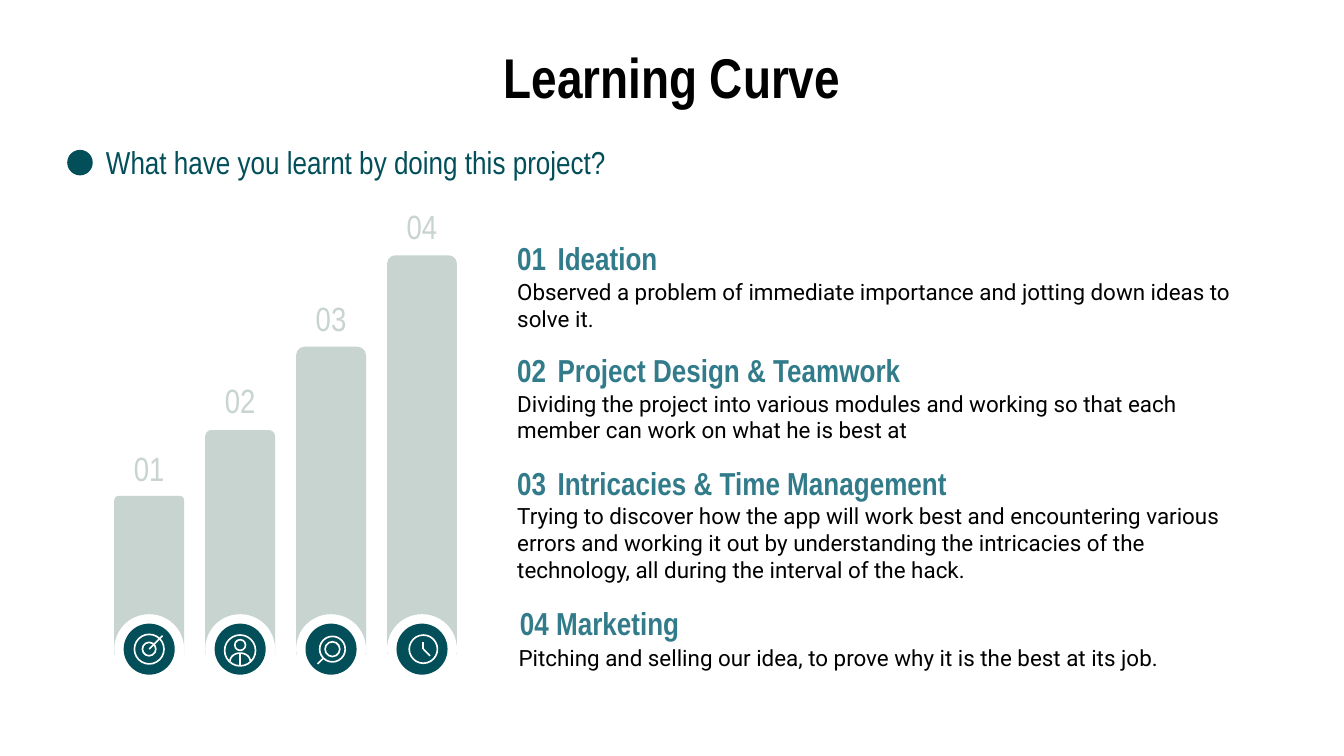
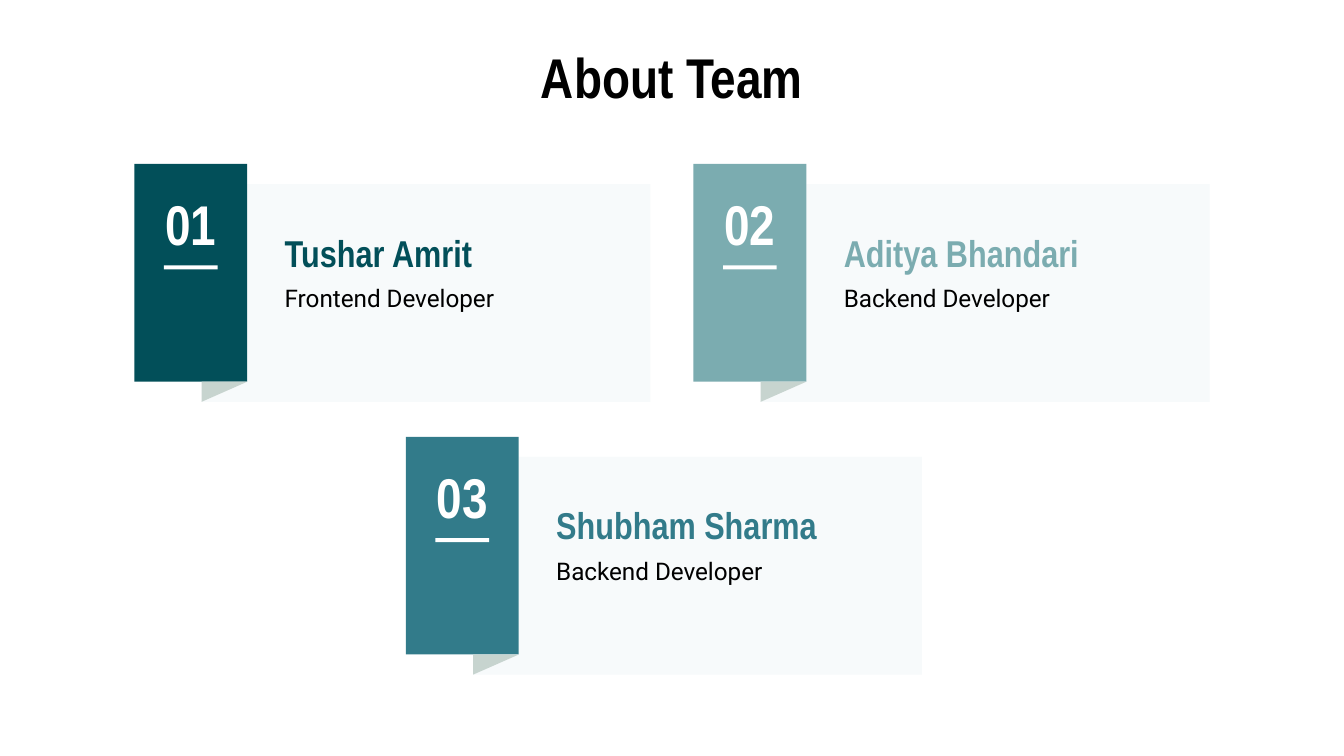
from math import cos, pi, sin

from lxml.etree import SubElement
from pptx import Presentation
from pptx.dml.color import RGBColor
from pptx.enum.shapes import MSO_CONNECTOR as Link, MSO_SHAPE as Kind
from pptx.enum.text import MSO_ANCHOR as Anchor, MSO_AUTO_SIZE as Fit, PP_ALIGN as Align
from pptx.oxml.ns import qn
from pptx.util import Inches, Pt

BLACK = RGBColor(0x00, 0x00, 0x00)
WHITE = RGBColor(0xFF, 0xFF, 0xFF)
DARK = RGBColor(0x02, 0x4F, 0x59)
TEAL = RGBColor(0x32, 0x7B, 0x8A)
SOFT = RGBColor(0x7B, 0xAC, 0xB0)
GREY = RGBColor(0xC7, 0xD4, 0xCF)
PALE = RGBColor(0xF7, 0xFA, 0xFB)
HEAD = "Arial Narrow"
BODY = "Roboto"

QUERY = "What have you learnt by doing this project?"
LESSONS = [
    (1.68, [(3.75, 0.44, "01"), (4.05, 2.19, "Ideation")], 3.75, 1.97,
     "Observed a problem of immediate importance and jotting down ideas to solve it."),
    (2.51, [(3.75, 0.44, "02"), (4.05, 3.51, "Project Design & Teamwork")], 3.75, 2.8,
     "Dividing the project into various modules and working so that each "
     "member can work on what he is best at"),
    (3.35, [(3.75, 0.44, "03"), (4.05, 3.45, "Intricacies & Time Management")], 3.75, 3.64,
     "Trying to discover how the app will work best and encountering various "
     "errors and working it out by understanding the intricacies of the "
     "technology, all during the interval of the hack."),
    (4.39, [(3.77, 2.19, "04 Marketing")], 3.76, 4.69,
     "Pitching and selling our idea, to prove why it is the best at its job."),
]
BARS = [
    ("01", 3.69, 3.23, 0.06),
    ("02", 3.2, 2.73, 0.09),
    ("03", 2.58, 2.12, 0.12),
    ("04", 1.9, 1.43, 0.12),
]
ICONS = [
    {"rings": [(0, 0, 0.22), (0, 0, 0.1)], "lines": [(0, 0, 0.1, -0.1)]},
    {"rings": [(0, -0.03, 0.08), (0, 0.01, 0.23)], "lines": [(0, 0.03, 0, 0.12)],
     "arc": (0.09, 0.075, 0.06)},
    {"rings": [(0.01, 0, 0.19), (0.01, 0, 0.11)], "lines": [(-0.1, 0.11, -0.06, 0.07)]},
    {"rings": [(0.01, 0, 0.21)], "lines": [(0.01, 0, 0.06, 0.05), (0.01, -0.05, 0.01, 0)]},
]
TEAM = [
    (1, 1.22, DARK, "01", "Tushar Amrit", "Frontend Developer"),
    (5.16, 1.22, SOFT, "02", "Aditya Bhandari", "Backend Developer"),
    (3.02, 3.25, TEAL, "03", "Shubham Sharma", "Backend Developer"),
]


def write(frame, text, size=12, font=BODY, color=BLACK, bold=False, align=Align.LEFT):
    frame.word_wrap = True
    frame.auto_size = Fit.NONE
    frame.vertical_anchor = Anchor.TOP
    frame.margin_left = frame.margin_right = Inches(0.1)
    frame.margin_top = frame.margin_bottom = Inches(0.1)
    par = frame.paragraphs[0]
    par.alignment = align
    run = par.add_run()
    run.text = text
    run.font.size = Pt(size)
    run.font.name = font
    run.font.bold = bold
    run.font.color.rgb = color


def label(slide, x, y, w, h, text, **style):
    box = slide.shapes.add_textbox(Inches(x), Inches(y), Inches(w), Inches(h))
    write(box.text_frame, text, **style)


def paint(shape, fill=None, line=None):
    shape.shadow.inherit = False
    if fill is None:
        shape.fill.background()
    else:
        shape.fill.solid()
        shape.fill.fore_color.rgb = fill
    if line is None:
        shape.line.fill.background()
    else:
        shape.line.color.rgb = line
        shape.line.width = Pt(0.88)
    return shape


def block(slide, kind, x, y, w, h, fill=None, line=None):
    shape = slide.shapes.add_shape(kind, Inches(x), Inches(y), Inches(w), Inches(h))
    return paint(shape, fill, line)


def disc(slide, x, y, size, fill=None, line=None):
    block(slide, Kind.OVAL, x - size / 2, y - size / 2, size, size, fill, line)


def trace(slide, points, fill=None, line=None, close=True):
    first, *rest = [(Inches(x), Inches(y)) for x, y in points]
    pen = slide.shapes.build_freeform(*first)
    pen.add_line_segments(rest, close=close)
    paint(pen.convert_to_shape(), fill, line)


def stroke(slide, *ends):
    wire = slide.shapes.add_connector(Link.STRAIGHT, *map(Inches, ends))
    wire.line.color.rgb = WHITE
    wire.line.width = Pt(0.88)
    SubElement(wire._element.spPr, qn("a:effectLst"))


def start(deck, title):
    slide = deck.slides.add_slide(deck.slide_layouts[5])
    slide.background.fill.solid()
    slide.background.fill.fore_color.rgb = WHITE
    head = slide.shapes.title
    head.left, head.top = Inches(2.53), Inches(0.22)
    head.width, head.height = Inches(4.94), Inches(0.68)
    write(head.text_frame, title, size=30, font=HEAD, bold=True, align=Align.CENTER)
    return slide


def badge(slide, x, y, icon):
    disc(slide, x, y, 0.52, WHITE)
    disc(slide, x, y, 0.38, DARK)
    for dx, dy, size in icon["rings"]:
        disc(slide, x + dx, y + dy, size, line=WHITE)
    for ax, ay, bx, by in icon["lines"]:
        stroke(slide, x + ax, y + ay, x + bx, y + by)
    if "arc" in icon:
        dy, rx, ry = icon["arc"]
        turns = [pi * step / 16 for step in range(17)]
        curve = [(x - rx * cos(t), y + dy - ry * sin(t)) for t in turns]
        trace(slide, curve, line=WHITE, close=False)


def learning(deck):
    slide = start(deck, "Learning Curve")
    disc(slide, 0.595, 1.21, 0.19, DARK)
    label(slide, 0.69, 0.96, 6.54, 0.46, QUERY, size=17, font=HEAD, color=DARK)
    pitch = (2.88 - 0.85) / 3
    for pos, ((num, top, text_top, curve), icon) in enumerate(zip(BARS, ICONS)):
        x = 0.85 + pitch * pos
        bar = block(slide, Kind.ROUND_2_SAME_RECTANGLE, x, top, 0.52, 4.87 - top, GREY)
        bar.adjustments[0], bar.adjustments[1] = curve, 0
        badge(slide, x + 0.26, 4.83, icon)
        label(slide, x, text_top, 0.52, 0.38, num,
              size=18, font=HEAD, color=GREY, align=Align.CENTER)
    for top, heads, x, y, text in LESSONS:
        for left, wide, head in heads:
            label(slide, left, top, wide, 0.46, head,
                  size=17, font=HEAD, color=TEAL, bold=True)
        label(slide, x, y, 5.72, 0.5, text)


def card(slide, x, y, color, num, name, role):
    fold, edge, base = x + 0.5, x + 0.84, y + 1.62
    top, low, right = y + 0.15, base + 0.15, x + 3.84
    trace(slide, [(edge, top), (edge, base), (fold, low), (right, low), (right, top)], PALE)
    block(slide, Kind.RECTANGLE, x, y, 0.84, 1.62, color)
    trace(slide, [(fold, base), (fold, low), (edge, base)], GREY)
    label(slide, x, y + 0.09, 0.84, 0.83, num,
          size=30, font=HEAD, color=WHITE, bold=True, align=Align.CENTER)
    block(slide, Kind.RECTANGLE, x + 0.22, y + 0.755, 0.4, 0.03, WHITE)
    label(slide, x + 1.02, y + 0.39, 2.65, 0.46, name,
          size=20, font=HEAD, color=color, bold=True)
    label(slide, x + 1.02, y + 0.79, 2.65, 0.64, role, size=13)


def team(deck):
    slide = start(deck, "About Team")
    for person in TEAM:
        card(slide, *person)


def main():
    deck = Presentation()
    deck.slide_width, deck.slide_height = Inches(10), Inches(5.625)
    learning(deck)
    team(deck)
    deck.save("out.pptx")


if __name__ == "__main__":
    main()
